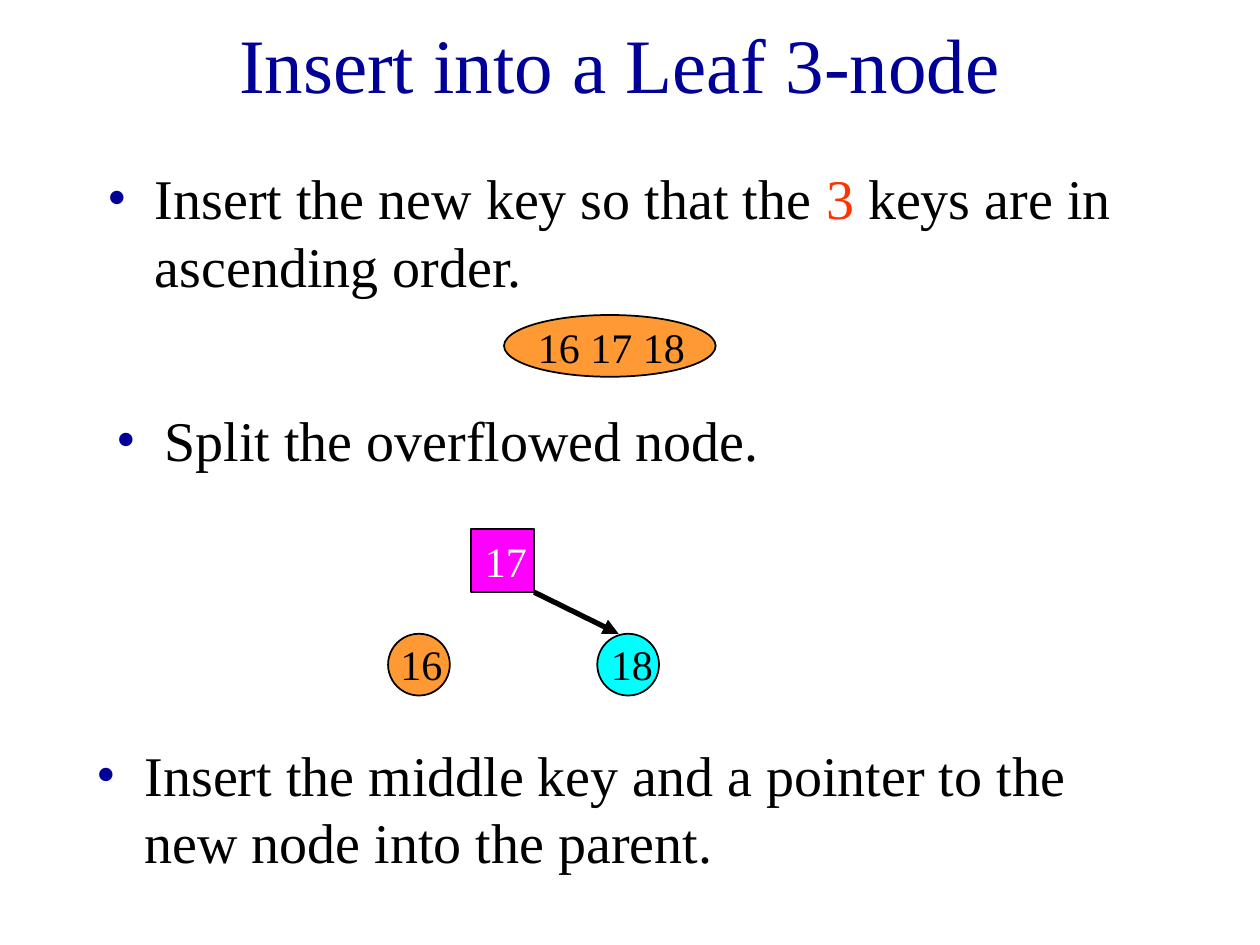
from lxml import etree
from pptx import Presentation
from pptx.dml.color import RGBColor
from pptx.enum import shapes, text
from pptx.oxml.ns import qn
from pptx.util import Inches, Pt

FONT = "Times New Roman"
BLACK = RGBColor(0x00, 0x00, 0x00)
WHITE = RGBColor(0xFF, 0xFF, 0xFF)
NAVY = RGBColor(0x00, 0x00, 0x99)
RED = RGBColor(0xFF, 0x33, 0x00)
ORANGE = RGBColor(0xFF, 0x99, 0x33)
CYAN = RGBColor(0x00, 0xFF, 0xFF)
PINK = RGBColor(0xFF, 0x00, 0xFF)
OVAL = shapes.MSO_SHAPE.OVAL
BOX = shapes.MSO_SHAPE.RECTANGLE


def place(shape, x, y, w, h):
    shape.left, shape.top = Inches(x), Inches(y)
    shape.width, shape.height = Inches(w), Inches(h)


def add_run(par, words, size, color):
    run = par.add_run()
    run.text = words
    run.font.name = FONT
    run.font.size = Pt(size)
    run.font.color.rgb = color


def add_gap(par, percent):
    """Space before the paragraph, as a share of the line."""
    gap = etree.SubElement(par._p.get_or_add_pPr(), qn("a:spcBef"))
    etree.SubElement(gap, qn("a:spcPct"), val=str(percent * 1000))


def add_title(slide, words):
    title = slide.shapes.title
    place(title, 0.67, 0, 8.5, 1)
    frame = title.text_frame
    frame.auto_size = text.MSO_AUTO_SIZE.NONE
    frame.vertical_anchor = text.MSO_ANCHOR.MIDDLE
    par = frame.paragraphs[0]
    par.alignment = text.PP_ALIGN.CENTER
    add_run(par, words, 44, NAVY)


def fill_bullet(shape, runs):
    frame = shape.text_frame
    frame.word_wrap = True
    frame.auto_size = text.MSO_AUTO_SIZE.NONE
    par = frame.paragraphs[0]
    add_gap(par, 20)
    props = par._p.get_or_add_pPr()
    props.set("marL", str(Inches(0.38)))
    props.set("indent", str(Inches(-0.38)))
    tint = etree.SubElement(props, qn("a:buClr"))
    etree.SubElement(tint, qn("a:srgbClr"), val=str(NAVY))
    etree.SubElement(props, qn("a:buFont"), typeface=FONT)
    etree.SubElement(props, qn("a:buChar"), char="•")
    for words, color in runs:
        add_run(par, words, 32, color)


def add_bullet(slide, x, y, words):
    box = slide.shapes.add_textbox(Inches(x), Inches(y), Inches(8.5), Inches(0.75))
    fill_bullet(box, [(words, BLACK)])


def add_node(slide, kind, x, y, w, h, fill):
    node = slide.shapes.add_shape(kind, Inches(x), Inches(y), Inches(w), Inches(h))
    node.shadow.inherit = False
    node.fill.solid()
    node.fill.fore_color.rgb = fill
    node.line.color.rgb = BLACK
    node.line.width = Pt(1)


def add_label(slide, x, y, w, words, color=BLACK):
    box = slide.shapes.add_textbox(Inches(x), Inches(y), Inches(w), Inches(0.5))
    frame = box.text_frame
    frame.word_wrap = True
    frame.auto_size = text.MSO_AUTO_SIZE.SHAPE_TO_FIT_TEXT
    par = frame.paragraphs[0]
    add_gap(par, 50)
    add_run(par, words, 24, color)


def add_arrow(slide, x1, y1, x2, y2):
    arrow = slide.shapes.add_connector(
        shapes.MSO_CONNECTOR.STRAIGHT, Inches(x1), Inches(y1), Inches(x2), Inches(y2))
    arrow.line.color.rgb = BLACK
    arrow.line.width = Pt(3)
    etree.SubElement(arrow.line._get_or_add_ln(), qn("a:tailEnd"),
                     type="triangle", w="med", len="med")
    etree.SubElement(arrow._element.spPr, qn("a:effectLst"))


def main():
    deck = Presentation()
    deck.slide_width, deck.slide_height = Inches(10), Inches(7.5)
    slide = deck.slides.add_slide(deck.slide_layouts[1])

    # Overfull leaf
    add_node(slide, OVAL, 4, 2.5, 1.68, 0.49, ORANGE)
    add_label(slide, 4.17, 2.5, 1.82, "16 17 18")

    # Title and steps
    add_title(slide, "Insert into a Leaf 3-node")
    body = slide.placeholders[1]
    place(body, 0.75, 1.25, 8.5, 1.25)
    fill_bullet(body, [("Insert the new key so that the ", BLACK), ("3 ", RED),
                       ("keys are in ascending order.", BLACK)])
    add_bullet(slide, 0.83, 3.17, "Split the overflowed node.")
    add_bullet(slide, 0.67, 5.83,
               "Insert the middle key and a pointer to the new node into the parent.")

    # Split nodes
    add_node(slide, OVAL, 3.08, 5.03, 0.49, 0.49, ORANGE)
    add_label(slide, 3.08, 5.02, 0.84, "16")
    add_node(slide, OVAL, 4.74, 5.03, 0.49, 0.49, CYAN)
    add_label(slide, 4.75, 5.02, 0.85, "18")

    # Middle key and its pointer
    add_node(slide, BOX, 3.74, 4.2, 0.5, 0.5, PINK)
    add_label(slide, 3.75, 4.2, 0.75, "17", WHITE)
    add_arrow(slide, 4.24, 4.7, 4.91, 5.03)

    deck.save("out.pptx")


if __name__ == "__main__":
    main()
